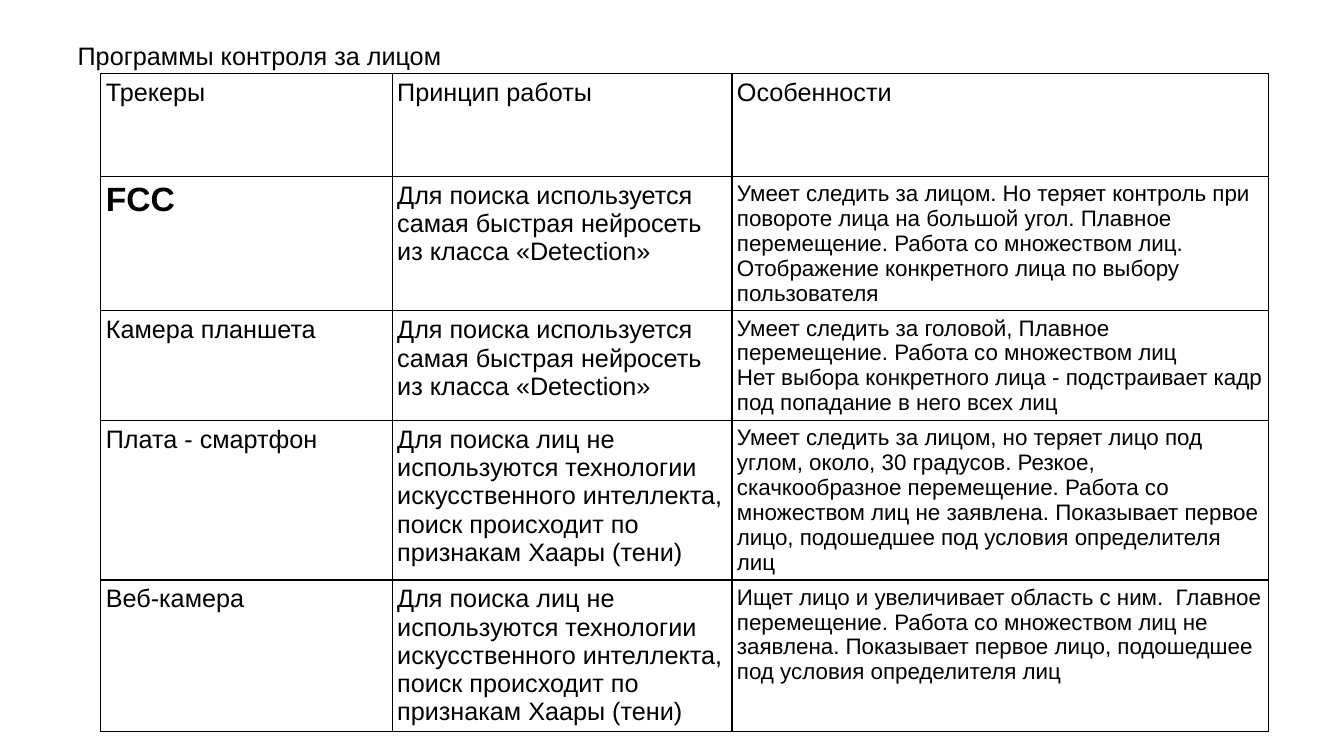
import pptx
import pptx.util
import pptx.dml.color
import pptx.enum.text
import pptx.oxml
import pptx.oxml.ns

FONT = "Arial"
BLACK = "000000"
BORDER_WIDTH = pptx.util.Pt(1)
CELL_MARGIN = pptx.util.Inches(0.05)


def add_text(paragraph, text, size, bold=False):
    """Add text as runs, with a line break at each newline."""
    for index, line in enumerate(text.split("\n")):
        if index:
            paragraph.add_line_break()
        run = paragraph.add_run()
        run.text = line
        run.font.name = FONT
        run.font.size = pptx.util.Pt(size)
        run.font.bold = bold
        run.font.color.rgb = pptx.dml.color.RGBColor.from_string(BLACK)


def add_borders(cell):
    """Draw a solid line on all four sides of a cell."""
    properties = cell._tc.get_or_add_tcPr()
    for position, side in enumerate(("lnL", "lnR", "lnT", "lnB")):
        line = pptx.oxml.parse_xml(
            f'<a:{side} {pptx.oxml.ns.nsdecls("a")} w="{BORDER_WIDTH}">'
            f'<a:solidFill><a:srgbClr val="{BLACK}"/></a:solidFill></a:{side}>'
        )
        properties.insert(position, line)


presentation = pptx.Presentation()
presentation.slide_width = pptx.util.Inches(13.33)
presentation.slide_height = pptx.util.Inches(7.5)
slide = presentation.slides.add_slide(presentation.slide_layouts[0])

# Title
subtitle = slide.placeholders[1]
subtitle.element.getparent().remove(subtitle.element)
title = slide.shapes.title
title.left, title.top, title.width, title.height = (
    pptx.util.Inches(length) for length in (0.77, -0.18, 11.5, 1.45)
)
frame = title.text_frame
frame.margin_left = frame.margin_right = frame.margin_top = frame.margin_bottom = 0
frame.vertical_anchor = pptx.enum.text.MSO_ANCHOR.MIDDLE
frame.paragraphs[0].alignment = pptx.enum.text.PP_ALIGN.LEFT
add_text(frame.paragraphs[0], "Программы контроля за лицом", 18)

# Table contents
neural_search = "Для поиска используется самая быстрая нейросеть из класса «Detection»"
haar_search = (
    "Для поиска лиц не используются технологии искусственного интеллекта, "
    "поиск происходит по признакам Хаары (тени)"
)
rows = [
    ("Трекеры", "Принцип работы", "Особенности"),
    ("FCC", neural_search,
     "Умеет следить за лицом. Но теряет контроль при повороте лица на большой угол. "
     "Плавное перемещение. Работа со множеством лиц. "
     "Отображение конкретного лица по выбору пользователя"),
    ("Камера планшета", neural_search,
     "Умеет следить за головой, Плавное перемещение. Работа со множеством лиц\n"
     "Нет выбора конкретного лица - подстраивает кадр под попадание в него всех лиц"),
    ("Плата - смартфон", haar_search,
     "Умеет следить за лицом, но теряет лицо под углом, около, 30 градусов. "
     "Резкое, скачкообразное перемещение. Работа со множеством лиц не заявлена. "
     "Показывает первое лицо, подошедшее под условия определителя лиц"),
    ("Веб-камера", haar_search,
     "Ищет лицо и увеличивает область с ним.  Главное перемещение. "
     "Работа со множеством лиц не заявлена. "
     "Показывает первое лицо, подошедшее под условия определителя лиц"),
]

# Table grid
column_widths = [2.89, 3.37, 5.32]
row_height = 1.02
table = slide.shapes.add_table(
    len(rows), len(column_widths),
    pptx.util.Inches(1), pptx.util.Inches(0.73),
    pptx.util.Inches(sum(column_widths)), pptx.util.Inches(row_height * len(rows)),
).table
table.first_row = False
table.horz_banding = False
for column, width in zip(table.columns, column_widths):
    column.width = pptx.util.Inches(width)

# Cells: features are set smaller, the program's own name larger
for row_index, texts in enumerate(rows):
    for column_index, text in enumerate(texts):
        cell = table.cell(row_index, column_index)
        cell.margin_left = cell.margin_right = CELL_MARGIN
        cell.margin_top = cell.margin_bottom = CELL_MARGIN
        cell.fill.background()
        add_borders(cell)
        own_program = text == "FCC"
        is_feature = row_index > 0 and column_index == 2
        size = 24 if own_program else 16 if is_feature else 18
        add_text(cell.text_frame.paragraphs[0], text, size, own_program)

presentation.save("out.pptx")
